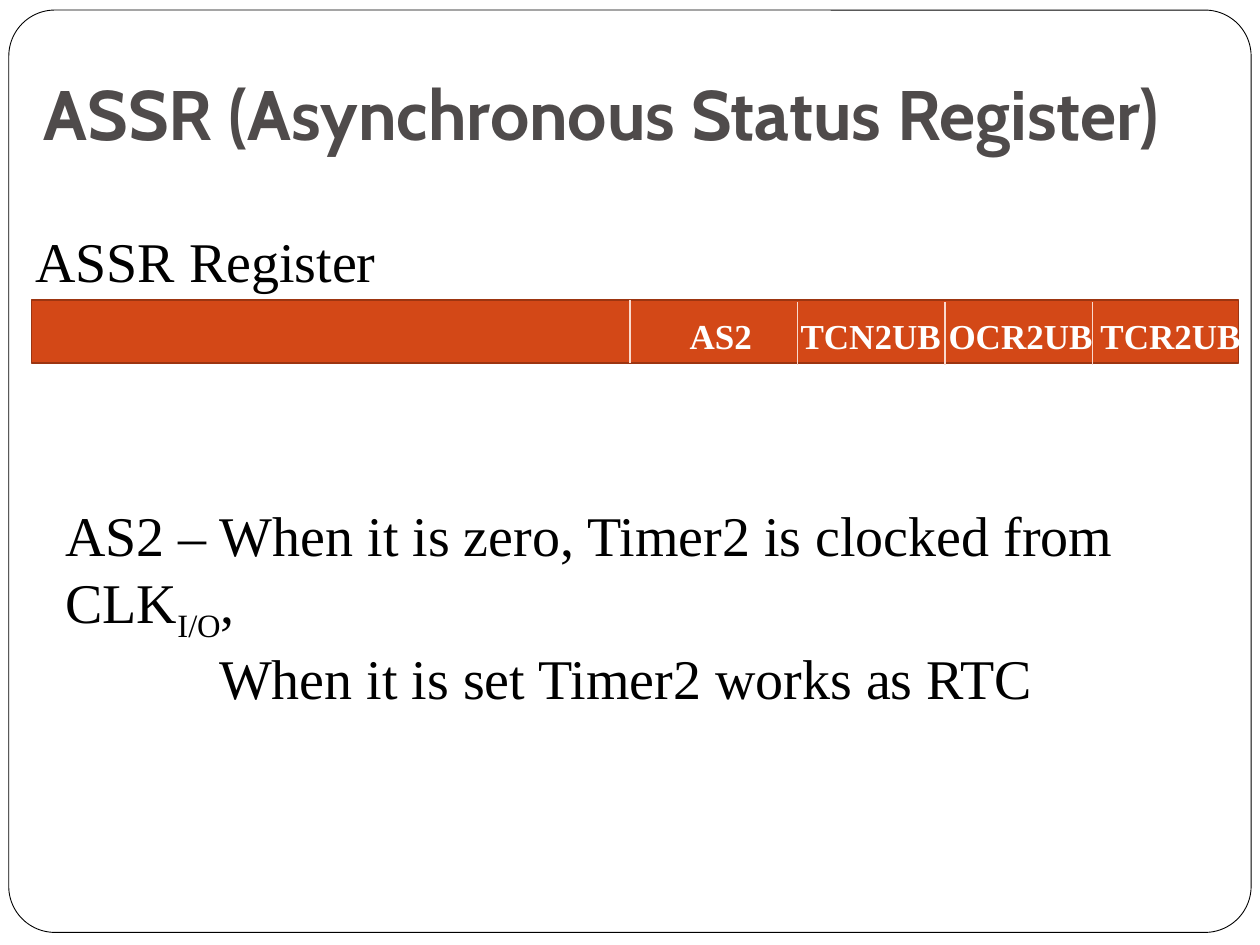
import pptx
import pptx.util
import pptx.dml.color
import pptx.enum.shapes
import pptx.enum.text
import pptx.oxml.ns
import lxml.etree

Inches, Pt = pptx.util.Inches, pptx.util.Pt
KIND = pptx.enum.shapes.MSO_SHAPE
ALIGN = pptx.enum.text.PP_ALIGN

THEME = {
    "head": "Cabin", "body": "Times New Roman",
    "title": "4F4B4B", "ink": "000000", "paper": "FFFFFF",
    "bar": "D34817", "edge": "9C3511", "rule": "FAD9CD",
    "big": 40, "text": 32, "small": 20,
}

TITLE = "ASSR (Asynchronous Status Register)"
LABEL = "ASSR Register"
BITS = [("AS2", 1.1), ("TCN2UB", 1.42), ("OCR2UB", 1.42), ("TCR2UB", 1.42)]
NOTES = [
    (["AS2 – When it is zero, Timer2 is clocked from CLK", "I/O", ","], 0),
    (["When it is set Timer2 works as RTC"], 1.22),
]
SUBS = {"I/O"}

BAR = (0.25, 2.38, 9.58, 0.5)
FIRST, SECOND, STEP = 5, 6.33, 1.17   # bit dividers
MID, PITCH = 5.72, 1.19               # centres of the bit names


def tint(name):
    return pptx.dml.color.RGBColor.from_string(THEME[name])


def style(run, size, color, face="body", bold=False):
    font = run.font
    font.name, font.size, font.bold = THEME[face], Pt(THEME[size]), bold
    font.color.rgb = tint(color)


def add_box(slide, area):
    frame = slide.shapes.add_textbox(*map(Inches, area)).text_frame
    frame.word_wrap = True
    return frame


def add_line(slide, area, text, size, color, face="body", bold=False,
             align=ALIGN.LEFT, space=5.8):
    """Add a text box that holds one styled paragraph."""
    frame = add_box(slide, area)
    frame.text = text
    para = frame.paragraphs[0]
    para.alignment, para.space_before = align, Pt(space)
    style(para.runs[0], size, color, face, bold)
    return frame


def add_form(slide, kind, area, fill, edge, width):
    form = slide.shapes.add_shape(kind, *map(Inches, area))
    form.shadow.inherit = False
    form.fill.solid()
    form.fill.fore_color.rgb = tint(fill)
    form.line.color.rgb = tint(edge)
    form.line.width = Pt(width)
    return form


def add_rule(slide, left, top, height):
    ends = map(Inches, (left, top, left, top + height))
    rule = slide.shapes.add_connector(
        pptx.enum.shapes.MSO_CONNECTOR.STRAIGHT, *ends)
    rule.line.color.rgb = tint("rule")
    rule.line.width = Pt(0.75)
    lxml.etree.SubElement(rule._element.spPr, pptx.oxml.ns.qn("a:effectLst"))


def add_bits(slide):
    """Draw the register bar with its dividers and bit names."""
    add_form(slide, KIND.RECTANGLE, BAR, "bar", "edge", 1)
    add_rule(slide, FIRST, BAR[1], BAR[3])
    for i in range(len(BITS) - 1):
        add_rule(slide, SECOND + i * STEP, 2.4, BAR[3])
    for i, (name, width) in enumerate(BITS):
        left = MID + i * PITCH - width / 2
        add_line(slide, (left, 2.45, width, 0.4), name, "small", "paper",
                 bold=True, align=ALIGN.CENTER)


def add_notes(slide):
    frame = add_box(slide, (0.42, 3.92, 9.25, 1.18))
    for i, (parts, indent) in enumerate(NOTES):
        para = frame.add_paragraph() if i else frame.paragraphs[0]
        para._p.get_or_add_pPr().set("marL", str(Inches(indent)))
        for part in parts:
            run = para.add_run()
            run.text = part
            style(run, "text", "ink")
            if part in SUBS:
                run._r.get_or_add_rPr().set("baseline", "-25000")


def main():
    deck = pptx.Presentation()
    deck.slide_width, deck.slide_height = Inches(10), Inches(7.5)
    slide = deck.slides.add_slide(deck.slide_layouts[6])
    border = add_form(slide, KIND.ROUNDED_RECTANGLE, (0.07, 0.08, 9.86, 7.32),
                      "paper", "ink", 0.5)
    border.adjustments[0] = 0.05
    title = add_line(slide, (0.25, 0.3, 9.75, 1.03), TITLE, "big", "title",
                     "head", True, space=0)
    title.vertical_anchor = pptx.enum.text.MSO_ANCHOR.BOTTOM
    title.margin_bottom = Inches(0.1)
    add_line(slide, (0.18, 1.75, 8.5, 0.58), LABEL, "text", "ink")
    add_bits(slide)
    add_notes(slide)
    deck.save("out.pptx")


if __name__ == "__main__":
    main()
